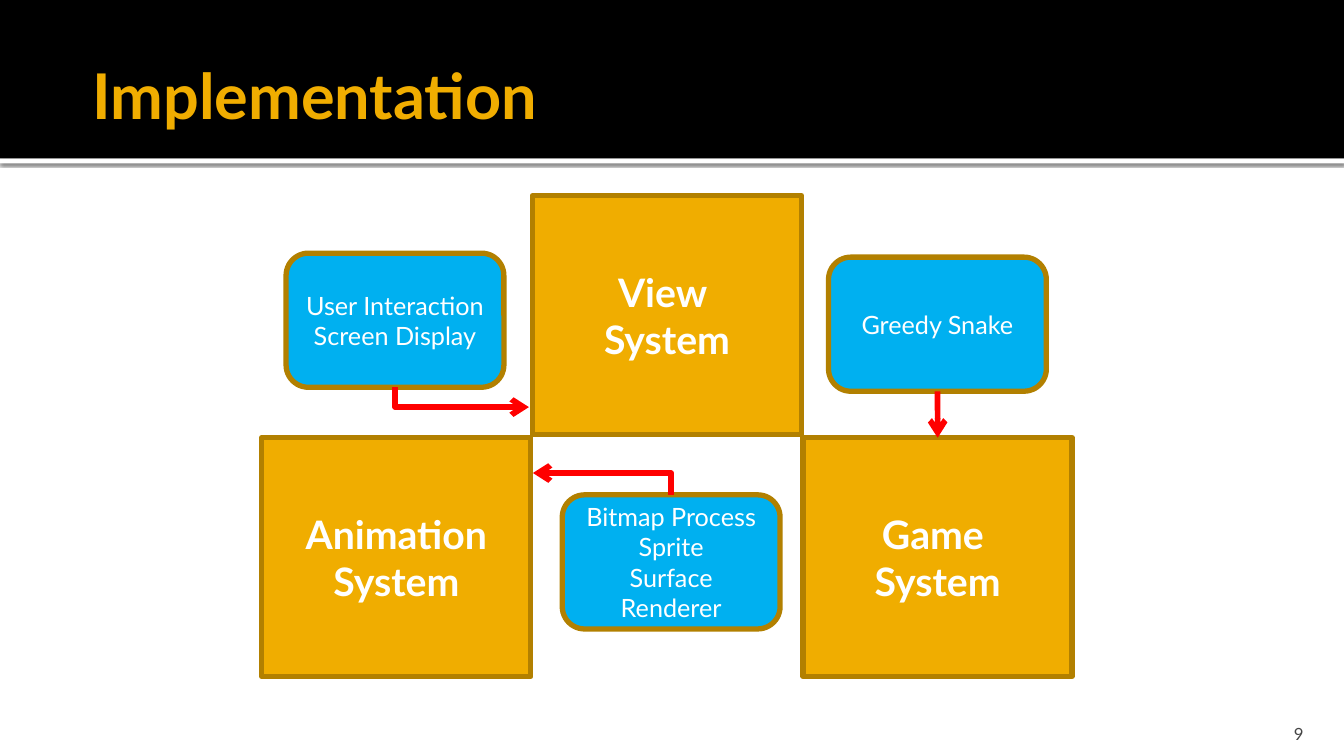
from lxml import etree
from pptx import Presentation
from pptx.dml.color import RGBColor
from pptx.enum.shapes import MSO_CONNECTOR, MSO_SHAPE
from pptx.enum.text import MSO_ANCHOR, PP_ALIGN
from pptx.oxml.ns import qn
from pptx.util import Cm, Pt

RECT, ROUND = MSO_SHAPE.RECTANGLE, MSO_SHAPE.ROUNDED_RECTANGLE
STRAIGHT, ELBOW = MSO_CONNECTOR.STRAIGHT, MSO_CONNECTOR.ELBOW
MIDDLE, BOTTOM = MSO_ANCHOR.MIDDLE, MSO_ANCHOR.BOTTOM
LEFT, CENTER, RIGHT = PP_ALIGN.LEFT, PP_ALIGN.CENTER, PP_ALIGN.RIGHT

WIDE, HIGH = 33.87, 19.05
GOLD, BROWN, BLUE, RED = "F0AD00", "B28000", "00B0F0", "FF0000"
WHITE, BLACK, GREY = "FFFFFF", "000000", "454545"

TITLE = {"size": Pt(45), "bold": True, "color": GOLD}
SYSTEM = {"size": Pt(28), "bold": True, "color": WHITE}
NOTE = {"size": Pt(18), "bold": False, "color": WHITE}
NUMBER = {"size": Pt(12), "bold": False, "color": GREY}


def paint(part, color):
    """Give a fill a solid hex colour."""
    part.solid()
    part.fore_color.rgb = RGBColor.from_string(color)


def write(shape, lines, style, align, anchor, inset=(0.25, 0.13, 0.25, 0.13)):
    """Write lines as formatted paragraphs."""
    frame = shape.text_frame
    sides = ("margin_left", "margin_top", "margin_right", "margin_bottom")
    form = {side: Cm(gap) for side, gap in zip(sides, inset)}
    form.update(word_wrap=True, vertical_anchor=anchor)
    for name, value in form.items():
        setattr(frame, name, value)
    frame.text = "\n".join(lines)
    for para in frame.paragraphs:
        para.alignment = align
        font = para.runs[0].font
        font.name = "Lato"
        for name, value in style.items():
            if name == "color":
                paint(font.fill, value)
            else:
                setattr(font, name, value)


def block(slide, kind, box, fill, line=None):
    """Add a filled shape with an optional outline."""
    shape = slide.shapes.add_shape(kind, *map(Cm, box))
    shape.shadow.inherit = False
    paint(shape.fill, fill)
    if line:
        paint(shape.line.fill, line)
        shape.line.width = Pt(3.78)
    else:
        shape.line.fill.background()
    return shape


def shade(shape):
    """Cast a soft shadow straight down."""
    effects = shape._element.spPr.find(qn("a:effectLst"))
    outer = etree.SubElement(effects, qn("a:outerShdw"), blurRad=str(Pt(2.5)),
                             dist=str(Pt(0.8)), dir="5400000", rotWithShape="0")
    color = etree.SubElement(outer, qn("a:srgbClr"), val=BLACK)
    etree.SubElement(color, qn("a:alpha"), val="60000")


def arrow(slide, kind, tip, root):
    """Draw a red arrow from root to tip, with at most one bend."""
    link = slide.shapes.add_connector(kind, *map(Cm, tip + root))
    paint(link.line.fill, RED)
    link.line.width = Pt(4)
    props = link._element.spPr
    if kind == ELBOW:
        props.find(qn("a:prstGeom")).set("prst", "bentConnector2")
    etree.SubElement(props.find(qn("a:ln")), qn("a:headEnd"), type="arrow")
    etree.SubElement(props, qn("a:effectLst"))


def header(slide, box, text):
    """Place the black band, its white edge and the title."""
    left, top, wide, high = box
    shade(block(slide, RECT, (left, top + high, wide, 0.13), WHITE))
    block(slide, RECT, box, BLACK)
    title = slide.shapes.title
    place = {"left": left + 2.08, "top": top + 0.1, "width": 28.78, "height": 4.55}
    for name, value in place.items():
        setattr(title, name, Cm(value))
    write(title, [text], TITLE, LEFT, MIDDLE, (0.25, 0.13, 0.13, 0.13))
    title._element.getparent().append(title._element)


def diagram(slide, box):
    """Place three systems, their notes and the arrows between them."""
    left, top, wide, high = box
    side, tall = 6.78, 6.02
    step, drop = (wide - side) / 2, high - tall
    systems = [(1, 0, ["View ", "System"]), (0, 1, ["Animation System"]),
               (2, 1, ["Game ", "System"])]
    for col, row, lines in systems:
        spot = (left + col * step, top + row * drop, side, tall)
        write(block(slide, RECT, spot, GOLD, BROWN), lines, SYSTEM, CENTER, MIDDLE)

    width, depth = 5.49, 3.38
    notes = [
        (0.61, 1.45, ["User Interaction", "Screen Display"], ELBOW, depth, (6.73, 5.33)),
        (7.57, 7.54, ["Bitmap Process", "Sprite", "Surface Renderer"], ELBOW, 0, (6.83, 6.99)),
        (14.28, 1.55, ["Greedy Snake"], STRAIGHT, depth, (17.03, drop)),
    ]
    for x, y, lines, kind, edge, (tipx, tipy) in notes:
        spot = (left + x, top + y, width, depth)
        write(block(slide, ROUND, spot, BLUE, BROWN), lines, NOTE, CENTER, MIDDLE)
        root = (left + x + width / 2, top + y + edge)
        arrow(slide, kind, (left + tipx, top + tipy), root)


def footer(slide, box, text):
    """Place the slide number."""
    label = slide.shapes.add_textbox(*map(Cm, box))
    write(label, [text], NUMBER, RIGHT, BOTTOM, (0.25, 0.13, 0.25, 0))


def main():
    """Build and save the slide."""
    deck = Presentation()
    deck.slide_width, deck.slide_height = Cm(WIDE), Cm(HIGH)
    slide = deck.slides.add_slide(deck.slide_layouts[5])
    paint(slide.background.fill, WHITE)
    header(slide, (0, 0, WIDE, 3.99), "Implementation")
    diagram(slide, (6.6, 4.93, 20.42, 12.12))
    footer(slide, (30.38, 17.98, 2.72, 0.76), "9")
    deck.save("out.pptx")


main()
